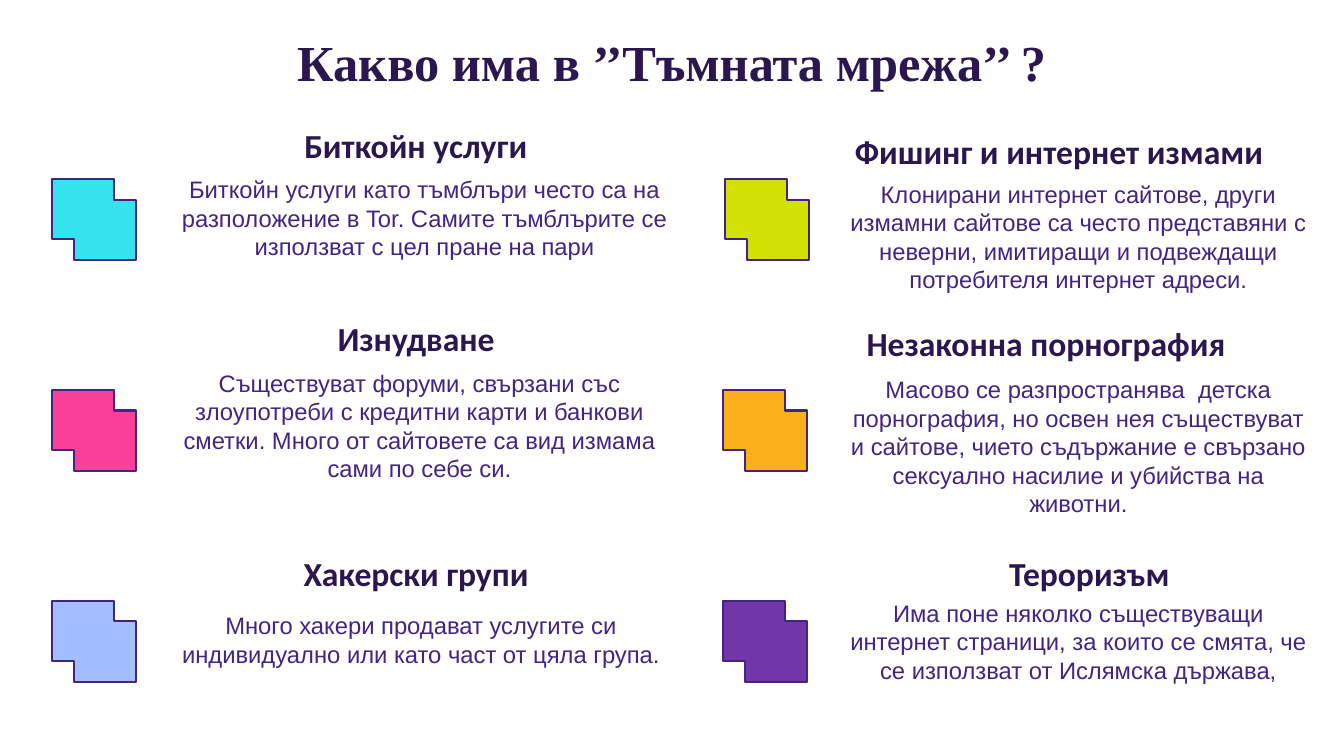
from pptx import Presentation
from pptx.dml.color import RGBColor
from pptx.enum.text import MSO_ANCHOR as Anchor, MSO_AUTO_SIZE as AutoSize, PP_ALIGN as Align
from pptx.util import Inches, Pt

WIDTH, HEIGHT = 26.66, 15
DARK, VIOLET = "2A174F", "422582"
TITLE = "Какво има в ’’Тъмната мрежа’’ ?"

# Topics by row; each has its icon (left, fill), heading (text, box, alignment)
# and body (text, box); boxes are left, top, width, height
TOPICS = [
    [
        ((1.04, "36E2EB"),
         ("Биткойн услуги", (4.7, 2.41, 7.1, 0.91), Align.CENTER),
         ("Биткойн услуги като тъмблъри често са на разположение в Tor. "
          "Самите тъмблърите се използват с цел пране на пари",
          (3.31, 3.42, 10.22, 1.82))),
        ((14.39, "D0E103"),
         ("Фишинг и интернет измами", (16.86, 2.54, 9.5, 0.91), Align.LEFT),
         ("Клонирани интернет сайтове, други измамни сайтове са често "
          "представяни с неверни, имитиращи и подвеждащи потребителя "
          "интернет адреси.",
          (16.65, 3.51, 9.48, 2.39))),
    ],
    [
        ((1.04, "FA4198"),
         ("Изнудване", (3.25, 6.24, 10.01, 0.91), Align.CENTER),
         ("Съществуват форуми, свързани със злоупотреби с кредитни карти и "
          "банкови сметки. Много от сайтовете са вид измама сами по себе си.",
          (3.31, 7.26, 10.02, 2.39))),
        ((14.34, "FBAF1B"),
         ("Незаконна порнография", (17.09, 6.35, 9.04, 0.91), Align.LEFT),
         ("Масово се разпространява  детска порнография, но освен нея "
          "съществуват и сайтове, чието съдържание е свързано сексуално "
          "насилие и убийства на животни.",
          (16.65, 7.39, 9.48, 2.96))),
    ],
    [
        ((1.04, "A2BEFF"),
         ("Хакерски групи", (3.17, 10.91, 10.17, 0.91), Align.CENTER),
         ("Много хакери продават услугите си индивидуално или като част "
          "от цяла група.",
          (3.37, 12.07, 9.96, 1.25))),
        ((14.34, "7136A8"),
         ("Тероризъм", (18.06, 10.91, 7.1, 0.91), Align.CENTER),
         ("Има поне няколко съществуващи интернет страници, за които се "
          "смята, че се използват от Ислямска държава,",
          (16.65, 11.82, 9.48, 1.82))),
    ],
]

# Icon: a square with two opposite corners notched
ICON_TOP, ROW_STEP = 3.55, 4.185
ICON_W, ICON_H = 1.66, 1.61
NOTCH_W, NOTCH_H = 0.43, 0.41


def color(hex_value):
    return RGBColor.from_string(hex_value)


def write(shape, text, size, font, hex_value, bold=False, align=Align.CENTER,
          anchor=Anchor.TOP):
    frame = shape.text_frame
    frame.word_wrap = True
    frame.auto_size = AutoSize.NONE
    frame.vertical_anchor = anchor
    paragraph = frame.paragraphs[0]
    paragraph.alignment = align
    run = paragraph.add_run()
    run.text = text
    run.font.size = Pt(size)
    run.font.name = font
    run.font.bold = bold
    run.font.color.rgb = color(hex_value)


def add_box(slide, box):
    return slide.shapes.add_textbox(*map(Inches, box))


def add_icon(slide, left, top, fill):
    right, bottom = left + ICON_W, top + ICON_H
    corners = [
        (left, top), (right - NOTCH_W, top), (right - NOTCH_W, top + NOTCH_H),
        (right, top + NOTCH_H), (right, bottom), (left + NOTCH_W, bottom),
        (left + NOTCH_W, bottom - NOTCH_H), (left, bottom - NOTCH_H),
    ]
    points = [(Inches(x), Inches(y)) for x, y in corners]
    builder = slide.shapes.build_freeform(*points[0])
    builder.add_line_segments(points[1:], close=True)
    icon = builder.convert_to_shape()
    icon.shadow.inherit = False
    icon.fill.solid()
    icon.fill.fore_color.rgb = color(fill)
    icon.line.color.rgb = color(VIOLET)
    icon.line.width = Pt(3)


def main():
    deck = Presentation()
    deck.slide_width, deck.slide_height = Inches(WIDTH), Inches(HEIGHT)
    slide = deck.slides.add_slide(deck.slide_layouts[5])

    # Title
    title = slide.shapes.title
    title.left, title.top = Inches(1.66), Inches(0.57)
    title.width, title.height = Inches(23.33), Inches(1.31)
    write(title, TITLE, 72, "Times New Roman", DARK, bold=True)

    # Topics: icon, heading and body
    for row, topics in enumerate(TOPICS):
        for (icon_left, fill), (heading, heading_box, align), (body, body_box) in topics:
            add_icon(slide, icon_left, ICON_TOP + row * ROW_STEP, fill)
            write(add_box(slide, heading_box), heading, 48, "Calibri", DARK,
                  bold=True, align=align, anchor=Anchor.BOTTOM)
            write(add_box(slide, body_box), body, 34, "Arial", VIOLET)

    deck.save("out.pptx")


if __name__ == "__main__":
    main()
